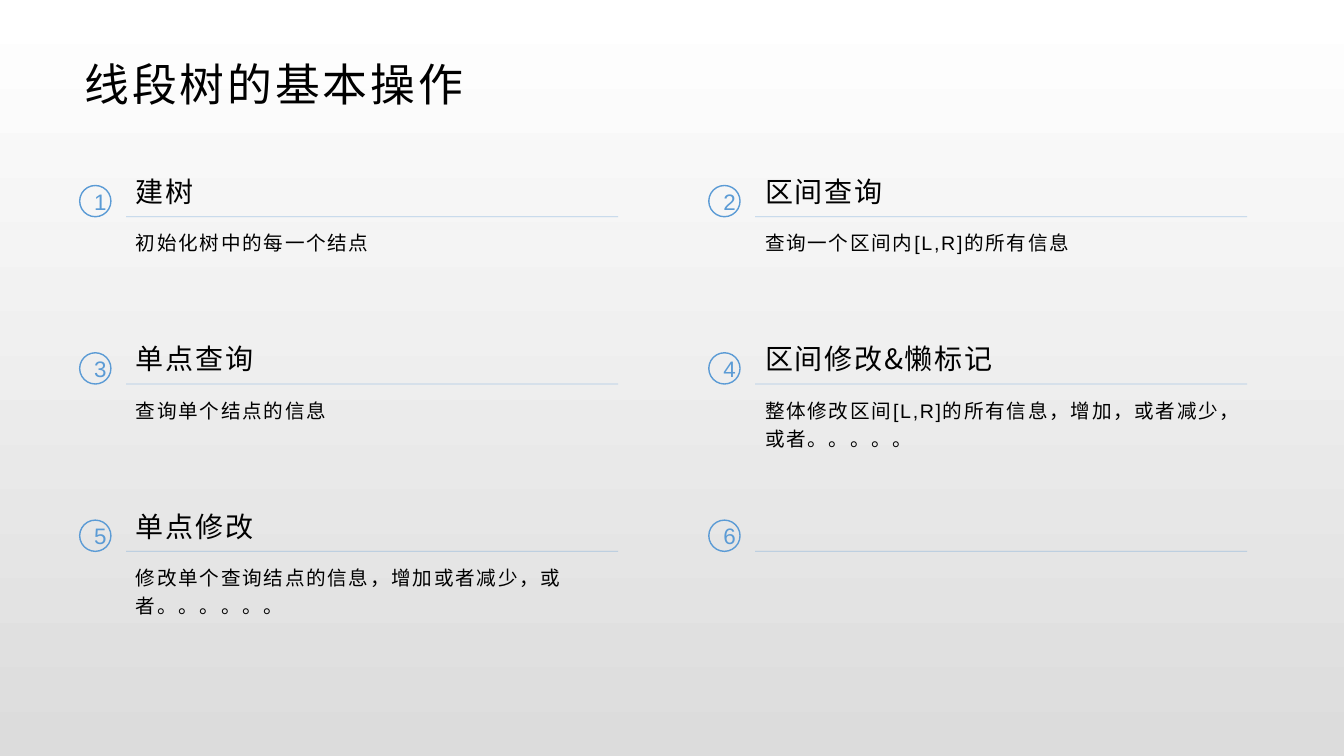
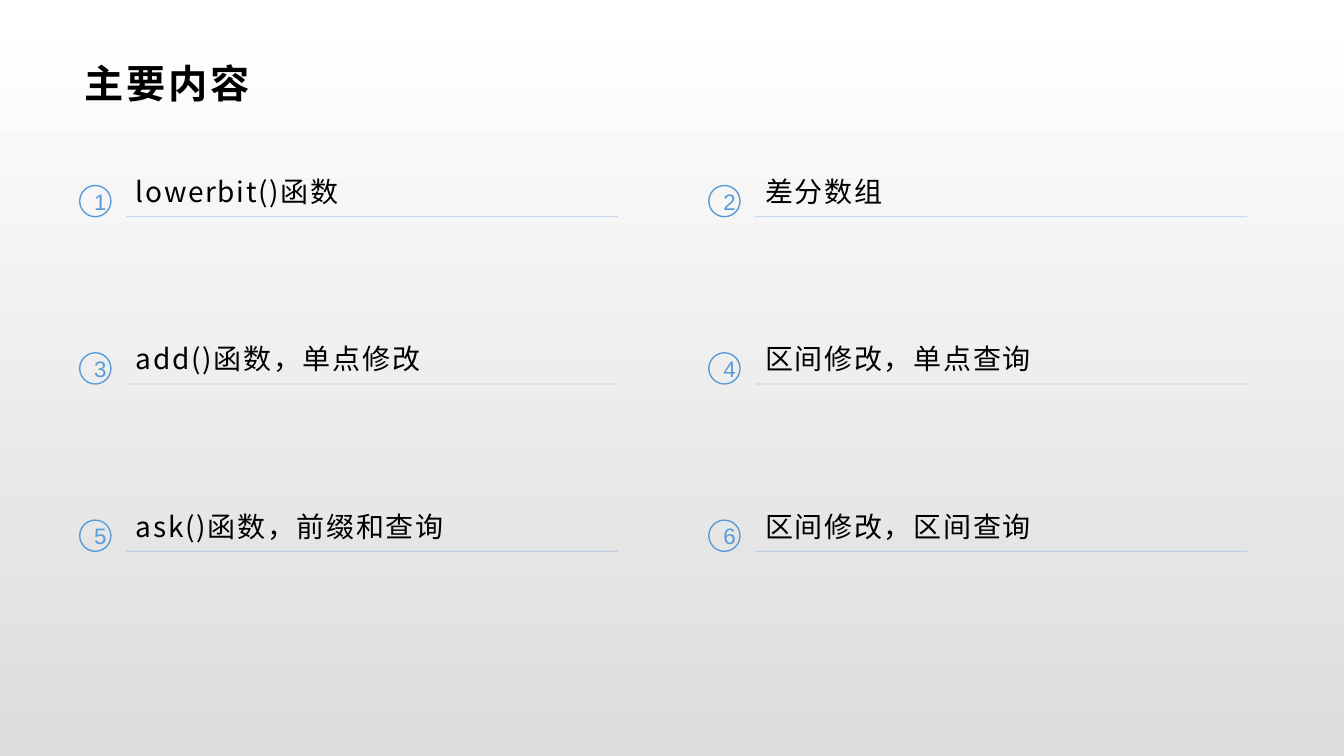
import pptx
import pptx.util
import pptx.dml.color
import pptx.enum.shapes
import pptx.enum.text
import pptx.oxml.ns
from lxml import etree

Inches = pptx.util.Inches
Pt = pptx.util.Pt
qn = pptx.oxml.ns.qn
RGBColor = pptx.dml.color.RGBColor

BLACK = RGBColor(0x00, 0x00, 0x00)
WHITE = RGBColor(0xFF, 0xFF, 0xFF)
GREY = RGBColor(0xDC, 0xDC, 0xDC)
BLUE = RGBColor(0x5B, 0x9B, 0xD5)
SANS = "Arial"
HAN = "Noto Sans CJK SC"

LEFT, TOP = 1.25, 1.65
STEP_X, STEP_Y = 6.24, 1.66
WIDE = 4.9

BASICS = [
    ("建树", "初始化树中的每一个结点"),
    ("区间查询", "查询一个区间内[L,R]的所有信息"),
    ("单点查询", "查询单个结点的信息"),
    ("区间修改&懒标记", "整体修改区间[L,R]的所有信息，增加，或者减少，或者。。。。。"),
    ("单点修改", "修改单个查询结点的信息，增加或者减少，或者。。。。。。"),
    ("", ""),
]
TOPICS = [
    ("lowerbit()函数", ""),
    ("差分数组", ""),
    ("add()函数，单点修改", ""),
    ("区间修改，单点查询", ""),
    ("ask()函数，前缀和查询", ""),
    ("区间修改，区间查询", ""),
]


def set_text(shape, text, size, color=BLACK, name=SANS, space=0, lines=None, bold=False):
    shape.text_frame.text = text
    para = shape.text_frame.paragraphs[0]
    if lines:
        para.line_spacing = lines
    run = para.runs[0]
    run.font.size = Pt(size)
    run.font.bold = bold
    run.font.color.rgb = color
    run.font.name = name
    props = run._r.get_or_add_rPr()
    props.set("spc", str(round(space * 100)))
    etree.SubElement(props, qn("a:ea")).set("typeface", HAN)
    return para


def add_text(slide, x, y, w, h, text, size, **style):
    box = slide.shapes.add_textbox(Inches(x), Inches(y), Inches(w), Inches(h))
    box.text_frame.word_wrap = True
    set_text(box, text, size, **style)
    return box.text_frame


def add_title(slide, text, size, bold):
    frame = add_text(slide, 0.73, 0.47, 11.87, 0.71, text, size, space=2, bold=bold)
    frame.vertical_anchor = pptx.enum.text.MSO_ANCHOR.MIDDLE
    frame.margin_left = Inches(0.11)
    frame.margin_right = Inches(0.08)
    frame.margin_top = frame.margin_bottom = Inches(0.04)


def add_rule(slide, x, y, w):
    rule = slide.shapes.add_connector(
        pptx.enum.shapes.MSO_CONNECTOR.STRAIGHT,
        Inches(x), Inches(y), Inches(x + w), Inches(y))
    rule.line.width = Pt(0.5)
    rule.line.color.rgb = BLUE
    tint = rule._element.spPr.find(".//" + qn("a:srgbClr"))
    etree.SubElement(tint, qn("a:alpha")).set("val", "44000")
    etree.SubElement(rule._element.spPr, qn("a:effectLst"))


def add_badge(slide, x, y, num):
    badge = slide.shapes.add_shape(
        pptx.enum.shapes.MSO_SHAPE.OVAL,
        Inches(x), Inches(y), Inches(0.31), Inches(0.31))
    badge.shadow.inherit = False
    badge.fill.background()
    badge.line.color.rgb = BLUE
    badge.line.width = Pt(1)
    para = set_text(badge, str(num), 16, color=BLUE)
    para.alignment = pptx.enum.text.PP_ALIGN.CENTER


def add_item(slide, x, y, num, head, body):
    add_rule(slide, x, y + 0.5, WIDE - 0.02)
    if head:
        add_text(slide, x, y, WIDE, 0.47, head, 20, name=HAN, space=1.2, lines=1.1)
    if body:
        add_text(slide, x, y + 0.55, WIDE, 0.86, body, 14, space=1.2, lines=1.2)
    add_badge(slide, x - 0.46, y + 0.19, num)


def add_list(deck, title, size, bold, items):
    slide = deck.slides.add_slide(deck.slide_layouts[6])
    add_title(slide, title, size, bold)
    for i, (head, body) in enumerate(items):
        row, col = divmod(i, 2)
        add_item(slide, LEFT + col * STEP_X, TOP + row * STEP_Y, i + 1, head, body)


def set_back(master):
    fill = master.background.fill
    fill.gradient()
    fill.gradient_angle = 270
    for stop, color, place in zip(fill.gradient_stops, (WHITE, GREY), (0, 1)):
        stop.color.rgb = color
        stop.position = place


def main():
    deck = pptx.Presentation()
    deck.slide_width = Inches(13.33)
    deck.slide_height = Inches(7.5)
    set_back(deck.slide_master)
    add_list(deck, "线段树的基本操作", 32, False, BASICS)
    add_list(deck, "主要内容", 28, True, TOPICS)
    deck.save("out.pptx")


if __name__ == "__main__":
    main()
